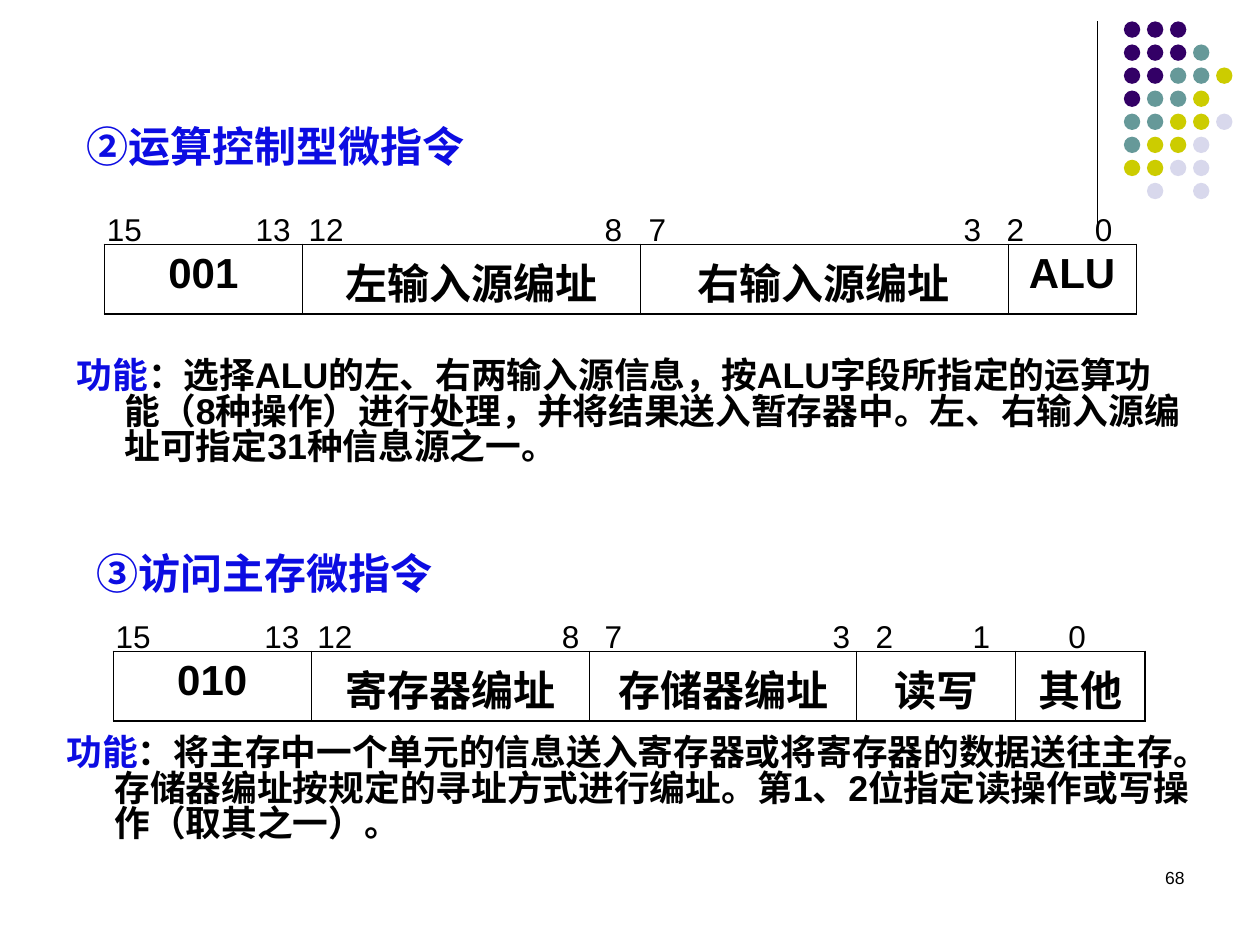
from dataclasses import dataclass

from lxml.etree import SubElement
from pptx import Presentation
from pptx.dml.color import RGBColor
from pptx.enum.shapes import MSO_CONNECTOR as Connector, MSO_SHAPE as Shape
from pptx.enum.text import PP_ALIGN as Align
from pptx.oxml.ns import qn
from pptx.util import Inches, Pt

COLORS = {
    "black": "000000",
    "blue": "0C0CE2",
    "purple": "330066",
    "teal": "669999",
    "olive": "CCCC00",
    "lilac": "D8D8EC",
}
DOT_COLORS = {"P": "purple", "T": "teal", "O": "olive", "L": "lilac"}
DOT_ROWS = ("PPP", "PPPT", "PPTTO", "PTTO", "TTOOL", "TOOL", "OOLL", " L L")
DOT_LEFT, DOT_TOP, DOT_PITCH, DOT_SIZE = 8.92, 0.17, 0.183, 0.13
ROW_HEIGHT = 0.55
OUTER_LINE, INNER_LINE = 1.08, 0.45


@dataclass
class Instruction:
    """One microinstruction: heading, bit numbers, field table and purpose."""

    heading: str
    heading_at: tuple[float, float]
    bits: tuple[str, ...]
    bits_at: tuple[float, float]
    bit_stops: tuple[float, ...]
    fields: tuple[str, ...]
    field_widths: tuple[float, ...]
    table_at: tuple[float, float]
    purpose: str
    purpose_at: tuple[float, float]
    purpose_width: float


INSTRUCTIONS = (
    Instruction(
        heading="②运算控制型微指令",
        heading_at=(0.59, 0.91),
        bits=("15", "13", "12", "8", "7", "3", "2", "0"),
        bits_at=(0.75, 1.62),
        bit_stops=(1.18, 1.6, 3.95, 4.3, 6.8, 7.14, 7.84),
        fields=("001", "左输入源编址", "右输入源编址", "ALU"),
        field_widths=(1.57, 2.68, 2.92, 1.02),
        table_at=(0.83, 1.94),
        purpose="：选择ALU的左、右两输入源信息，按ALU字段所指定的运算功能（8种操作）"
        "进行处理，并将结果送入暂存器中。左、右输入源编址可指定31种信息源之一。",
        purpose_at=(0.51, 2.81),
        purpose_width=8.98,
    ),
    Instruction(
        heading="③访问主存微指令",
        heading_at=(0.67, 4.3),
        bits=("15", "13", "12", "8", "7", "3", "2", "1", "0"),
        bits_at=(0.82, 4.85),
        bit_stops=(1.18, 1.6, 3.54, 3.88, 5.69, 6.03, 6.8, 7.56),
        fields=("010", "寄存器编址", "存储器编址", "读写", "其他"),
        field_widths=(1.57, 2.21, 2.12, 1.26, 1.03),
        table_at=(0.9, 5.17),
        purpose="：将主存中一个单元的信息送入寄存器或将寄存器的数据送往主存。"
        "存储器编址按规定的寻址方式进行编址。第1、2位指定读操作或写操作（取其之一）。",
        purpose_at=(0.43, 5.8),
        purpose_width=9.29,
    ),
)


def rgb(name: str) -> RGBColor:
    """Return the named colour."""
    return RGBColor.from_string(COLORS[name])


def add_span(para, text: str, *, size: float, color: str = "black", bold: bool = False) -> None:
    """Append a formatted run to a paragraph."""
    span = para.add_run()
    span.text = text
    span.font.name = "Arial"
    span.font.size = Pt(size)
    span.font.bold = bold
    span.font.color.rgb = rgb(color)


def add_box(page, at: tuple[float, float], width: float, height: float, *, before: float = 0):
    """Add a wrapping text box and return its first paragraph."""
    box = page.shapes.add_textbox(*map(Inches, (*at, width, height)))
    box.text_frame.word_wrap = True
    para = box.text_frame.paragraphs[0]
    para.space_before = Pt(before)
    return para


def draw_dots(page) -> None:
    """Draw the corner line and its pattern of dots."""
    line = page.shapes.add_connector(
        Connector.STRAIGHT, Inches(8.71), Inches(0.17), Inches(8.71), Inches(1.83)
    )
    line.line.color.rgb = rgb("black")
    line.line.width = Pt(0.75)
    SubElement(line._element.spPr, qn("a:effectLst"))
    for row, codes in enumerate(DOT_ROWS):
        for column, code in enumerate(codes):
            if code == " ":
                continue
            left, top = DOT_LEFT + column * DOT_PITCH, DOT_TOP + row * DOT_PITCH
            dot = page.shapes.add_shape(
                Shape.OVAL, *map(Inches, (left, top, DOT_SIZE, DOT_SIZE))
            )
            dot.shadow.inherit = False
            dot.fill.solid()
            dot.fill.fore_color.rgb = rgb(DOT_COLORS[code])
            dot.line.fill.background()


def set_borders(cell, widths: dict[str, float]) -> None:
    """Give each side of a cell a black line."""
    properties = cell._tc.get_or_add_tcPr()
    for index, (side, width) in enumerate(widths.items()):
        line = properties.makeelement(qn(f"a:{side}"), {"w": str(Pt(width))})
        fill = SubElement(line, qn("a:solidFill"))
        SubElement(fill, qn("a:srgbClr"), val=COLORS["black"])
        properties.insert(index, line)


def draw_fields(page, item: Instruction) -> None:
    """Draw the one-row table of instruction fields."""
    count = len(item.fields)
    frame = page.shapes.add_table(
        1, count, *map(Inches, (*item.table_at, sum(item.field_widths), ROW_HEIGHT))
    )
    table = frame.table
    table.first_row = table.horz_banding = False
    for index, (text, width) in enumerate(zip(item.fields, item.field_widths)):
        table.columns[index].width = Inches(width)
        cell = table.cell(0, index)
        cell.fill.background()
        para = cell.text_frame.paragraphs[0]
        para.alignment = Align.CENTER
        para.space_before = Pt(6)
        add_span(para, text, size=24, bold=True)
        set_borders(cell, {
            "lnL": OUTER_LINE if index == 0 else INNER_LINE,
            "lnR": OUTER_LINE if index == count - 1 else INNER_LINE,
            "lnT": OUTER_LINE,
            "lnB": OUTER_LINE,
        })


def draw_bits(page, item: Instruction) -> None:
    """Write the bit numbers on tab stops above the table."""
    para = add_box(page, item.bits_at, 8.19, 0.4, before=11.2)
    stops = SubElement(para._p.get_or_add_pPr(), qn("a:tabLst"))
    for stop in item.bit_stops:
        SubElement(stops, qn("a:tab"), pos=str(Inches(stop)), algn="l")
    add_span(para, "\t".join(item.bits), size=18)


def draw_instruction(page, item: Instruction) -> None:
    """Draw every part of one microinstruction."""
    draw_fields(page, item)
    draw_bits(page, item)
    heading = add_box(page, item.heading_at, 5.98, 0.5, before=15)
    add_span(heading, item.heading, size=24, color="blue", bold=True)
    purpose = add_box(page, item.purpose_at, item.purpose_width, 1.18, before=6)
    purpose.line_spacing = 0.83
    properties = purpose._p.get_or_add_pPr()
    properties.set("marL", str(Inches(0.38)))
    properties.set("indent", str(Inches(-0.38)))
    add_span(purpose, "功能", size=20.4, color="blue", bold=True)
    add_span(purpose, item.purpose, size=20.4, bold=True)


def main() -> None:
    """Build the slide and save it."""
    deck = Presentation()
    deck.slide_width, deck.slide_height = Inches(10), Inches(7.5)
    page = deck.slides.add_slide(deck.slide_layouts[6])
    draw_dots(page)
    number = add_box(page, (7.17, 6.83), 2.33, 0.5)
    number.alignment = Align.RIGHT
    add_span(number, "68", size=10)
    for item in INSTRUCTIONS:
        draw_instruction(page, item)
    deck.save("out.pptx")


if __name__ == "__main__":
    main()
